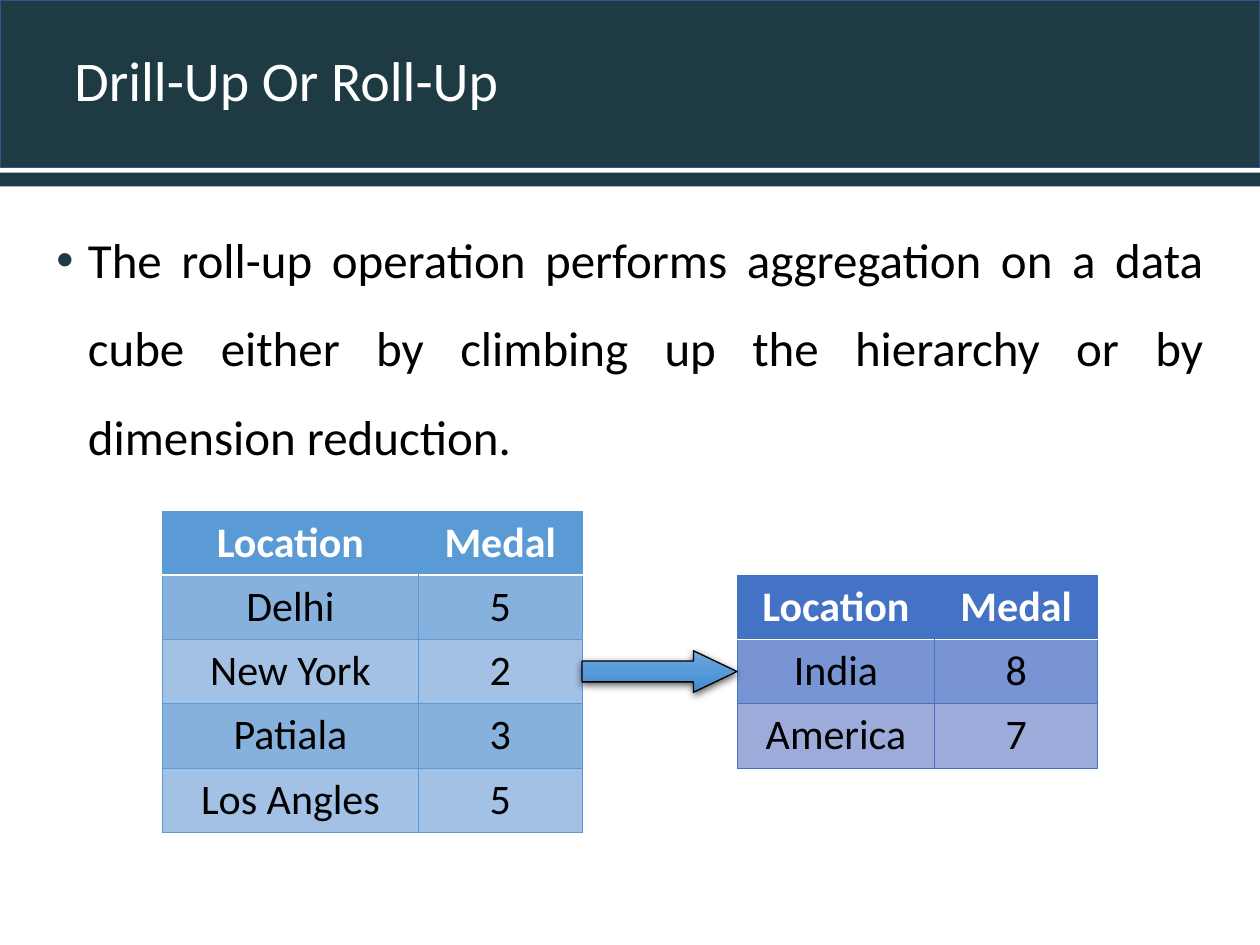
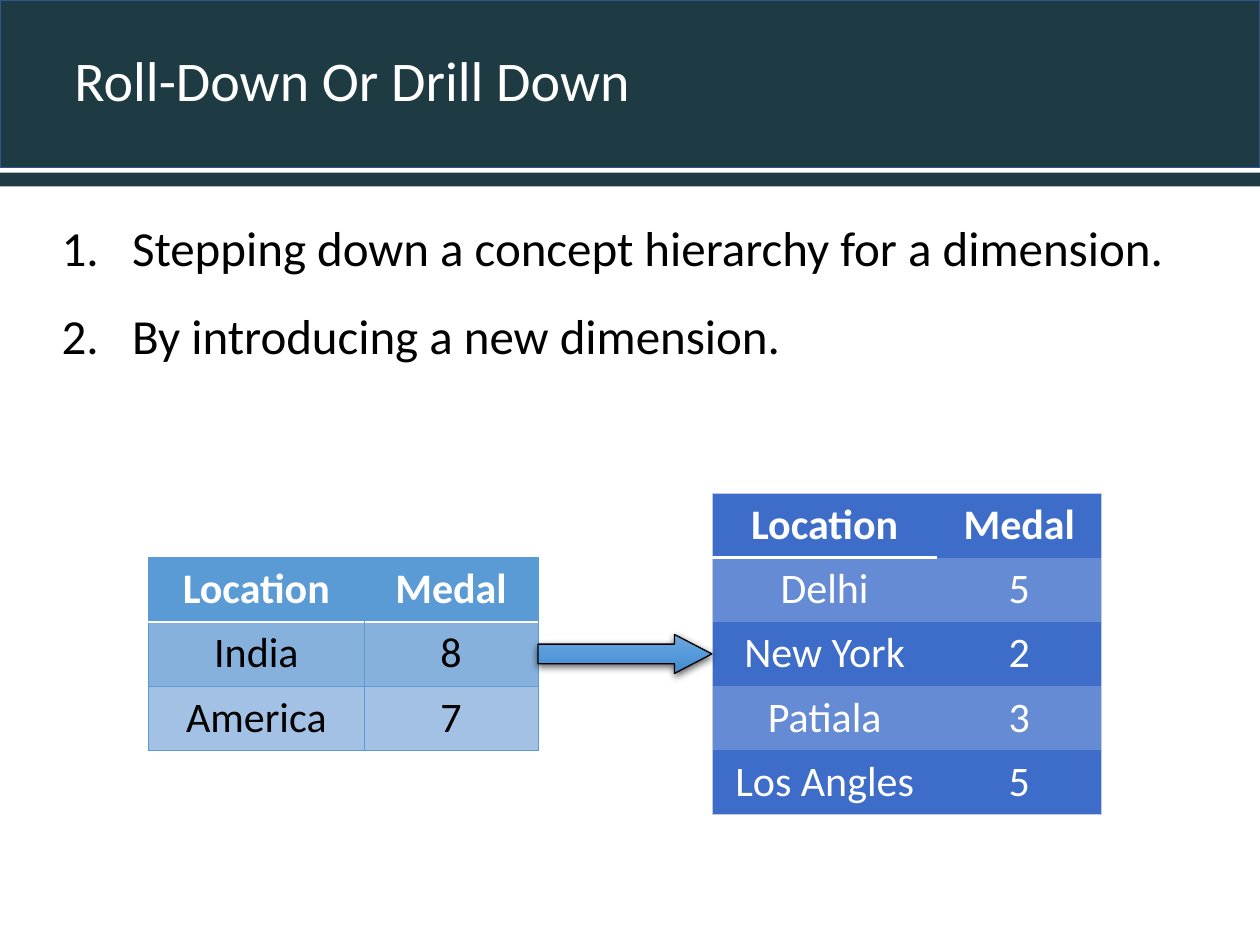
"""Build two slides on rolling data up and drilling it down."""
from copy import deepcopy
from dataclasses import dataclass
from typing import Optional

from lxml import etree
from pptx import Presentation
from pptx import util as u
from pptx.dml.color import RGBColor
from pptx.enum import shapes, text
from pptx.oxml.ns import qn

WIDTH, HEIGHT = u.Inches(10), u.Inches(7.5)
COLUMNS, ROWS = 100, 75
FONT = "Calibri"
ROW_SPAN = 5.1

WHITE = RGBColor(0xFF, 0xFF, 0xFF)
BLACK = RGBColor(0x00, 0x00, 0x00)
TEAL = RGBColor(0x1E, 0x3A, 0x42)
BAND_EDGE = RGBColor(0x32, 0x54, 0x91)
SKY = RGBColor(0x5B, 0x9B, 0xD5)
SKY_MID = RGBColor(0x87, 0xB1, 0xDD)
SKY_PALE = RGBColor(0xA3, 0xC0, 0xE5)
ROYAL = RGBColor(0x44, 0x72, 0xC4)
ROYAL_MID = RGBColor(0x79, 0x94, 0xD2)
ROYAL_PALE = RGBColor(0x9C, 0xAB, 0xDA)
COBALT = RGBColor(0x3D, 0x6D, 0xC9)
COBALT_PALE = RGBColor(0x64, 0x8B, 0xD4)
MIST = RGBColor(0xC1, 0xC9, 0xE4)
ARROW_STOPS = (RGBColor(0x71, 0xA6, 0xDB), RGBColor(0x55, 0x9B, 0xDB), RGBColor(0x44, 0x8A, 0xCA))


@dataclass(frozen=True)
class Box:
    """A place on the slide grid, in columns and rows."""
    left: float
    top: float
    width: float
    height: float

    def emu(self) -> tuple[int, int, int, int]:
        """Return the place as slide lengths."""
        return col(self.left), row(self.top), col(self.width), row(self.height)


@dataclass(frozen=True)
class Edge:
    """A cell border."""
    color: RGBColor
    points: float


@dataclass(frozen=True)
class TableStyle:
    """Colours and borders of a medal table."""
    header: RGBColor
    odd: RGBColor
    even: RGBColor
    ink: RGBColor
    outer: Edge
    inner: Optional[Edge]
    rule: Edge
    ruled_columns: int = 2


@dataclass(frozen=True)
class MedalTable:
    """A medal table whose height follows from its records."""
    left: float
    widths: tuple[float, float]
    records: tuple[tuple[str, str], ...]
    style: TableStyle

    @property
    def right(self) -> float:
        """Return the column where the table ends."""
        return self.left + sum(self.widths)


@dataclass(frozen=True)
class Points:
    """A list of points with its marker and hanging indent."""
    box: Box
    hang: float
    lines: tuple[str, ...]
    numbered: bool


@dataclass(frozen=True)
class Operation:
    """One slide: a cube operation shown as one table becoming another."""
    title: str
    points: Points
    before: MedalTable
    after: MedalTable
    middle: float
    arrow_height: float
    arrow_head: float


BANDS = ((Box(0, 0, 100, 13.3), BAND_EDGE), (Box(0, 13.7, 100, 1.1), None))
TITLE_BOX = Box(1, 0, 99, 13.3)

SKY_STYLE = TableStyle(SKY, SKY_MID, SKY_PALE, BLACK, Edge(SKY, 0.5), Edge(SKY, 0.5), Edge(WHITE, 1))
ROYAL_STYLE = TableStyle(ROYAL, ROYAL_MID, ROYAL_PALE, BLACK,
                         Edge(ROYAL, 0.5), Edge(ROYAL, 0.5), Edge(WHITE, 1))
COBALT_STYLE = TableStyle(COBALT, COBALT_PALE, COBALT, WHITE,
                          Edge(MIST, 0.5), None, Edge(WHITE, 1.5), ruled_columns=1)

HEADINGS = ("Location", "Medal")
CITIES = (HEADINGS, ("Delhi", "5"), ("New York", "2"), ("Patiala", "3"), ("Los Angles", "5"))
COUNTRIES = (HEADINGS, ("India", "8"), ("America", "7"))

OPERATIONS = (
    Operation(
        "Drill-Up Or Roll-Up",
        Points(Box(3.5, 15.4, 93, 22.1), 2.5,
               ("The roll-up operation performs aggregation on a data cube either by "
                "climbing up the hierarchy or by dimension reduction.",), False),
        MedalTable(12.9, (20.3, 13), CITIES, SKY_STYLE),
        MedalTable(58.5, (15.7, 12.9), COUNTRIES, ROYAL_STYLE),
        53.3, 3.3, 1.05),
    Operation(
        "Roll-Down Or Drill Down",
        Points(Box(3.9, 14.4, 91.7, 21.3), 5.6,
               ("Stepping down a concept hierarchy for a dimension.",
                "By introducing a new dimension."), True),
        MedalTable(11.8, (17.1, 13.8), COUNTRIES, SKY_STYLE),
        MedalTable(56.5, (17.9, 13), CITIES, COBALT_STYLE),
        51.9, 3.1, 0.96),
)


def col(n: float) -> int:
    """Return the length of n grid columns."""
    return round(WIDTH * n / COLUMNS)


def row(n: float) -> int:
    """Return the length of n grid rows."""
    return round(HEIGHT * n / ROWS)


def child(parent, tag: str, **attributes):
    """Append a drawing element and return it."""
    return etree.SubElement(parent, qn(f"a:{tag}"), {k: str(v) for k, v in attributes.items()})


def add_run(p, words: str, size: float, color: RGBColor, bold: bool = False) -> None:
    """Add one formatted run to a paragraph."""
    r = p.add_run()
    r.text = words
    r.font.name, r.font.size, r.font.bold = FONT, u.Pt(size), bold
    r.font.color.rgb = color


def add_bands(s) -> None:
    """Draw the header bands behind the title."""
    for depth, (box, edge) in enumerate(BANDS):
        sp = s.shapes.add_shape(shapes.MSO_SHAPE.RECTANGLE, *box.emu())
        sp.shadow.inherit = False
        sp.fill.solid()
        sp.fill.fore_color.rgb = TEAL
        if edge is None:
            sp.line.fill.background()
        else:
            sp.line.color.rgb = edge
            sp.line.width = u.Pt(1)
        s.shapes.element.insert(2 + depth, sp.element)


def set_title(s, words: str) -> None:
    """Place and format the title placeholder."""
    sp = s.shapes.title
    sp.left, sp.top, sp.width, sp.height = TITLE_BOX.emu()
    tf = sp.text_frame
    tf.vertical_anchor = text.MSO_ANCHOR.MIDDLE
    p = tf.paragraphs[0]
    p.alignment = text.PP_ALIGN.LEFT
    p.line_spacing = 0.9
    p._p.get_or_add_pPr().set("indent", str(col(3.9)))
    add_run(p, words, 32, WHITE)


def add_points(s, points: Points) -> None:
    """Add the justified list of points."""
    tf = s.shapes.add_textbox(*points.box.emu()).text_frame
    tf.word_wrap = True
    for i, line in enumerate(points.lines):
        p = tf.add_paragraph() if i else tf.paragraphs[0]
        p.alignment = text.PP_ALIGN.JUSTIFY
        p.line_spacing = 1.5
        pPr = p._p.get_or_add_pPr()
        pPr.set("marL", str(col(points.hang)))
        pPr.set("indent", str(-col(points.hang)))
        if points.numbered:
            child(pPr, "buFont", typeface="+mj-lt")
            child(pPr, "buAutoNum", type="arabicPeriod")
        else:
            child(child(pPr, "buClr"), "srgbClr", val=TEAL)
            child(pPr, "buFont", typeface="Arial")
            child(pPr, "buChar", char="•")
        add_run(p, line, 28, BLACK)


def set_border(cell, side: str, edge: Optional[Edge]) -> None:
    """Draw or clear one border of a cell."""
    ln = child(cell._tc.get_or_add_tcPr(), side, w=u.Pt(edge.points) if edge else 0)
    if edge:
        child(child(ln, "solidFill"), "srgbClr", val=edge.color)
    else:
        child(ln, "noFill")


def add_medal_table(s, medals: MedalTable, middle: float) -> None:
    """Add a medal table centred on the row called middle."""
    style, n, m = medals.style, len(medals.records), len(medals.widths)
    height = n * ROW_SPAN
    box = Box(medals.left, middle - height / 2, sum(medals.widths), height)
    table = s.shapes.add_table(n, m, *box.emu()).table
    for column, width in zip(table.columns, medals.widths):
        column.width = col(width)

    def level(i: int, j: int) -> Optional[Edge]:
        """Return the border above row i in column j."""
        if i in (0, n):
            return style.outer
        if i == 1:
            return style.rule if j < style.ruled_columns else None
        return style.inner

    def upright(i: int, j: int) -> Optional[Edge]:
        """Return the border left of column j in row i."""
        if j in (0, m):
            return style.outer
        return style.inner if i else None

    for i, record in enumerate(medals.records):
        for j, words in enumerate(record):
            cell = table.cell(i, j)
            set_border(cell, "lnL", upright(i, j))
            set_border(cell, "lnR", upright(i, j + 1))
            set_border(cell, "lnT", level(i, j))
            set_border(cell, "lnB", level(i + 1, j))
            cell.fill.solid()
            body = style.odd if i % 2 else style.even
            cell.fill.fore_color.rgb = body if i else style.header
            p = cell.text_frame.paragraphs[0]
            p.alignment = text.PP_ALIGN.CENTER
            add_run(p, words, 24, style.ink if i else WHITE, bold=i == 0)


def add_arrow(s, op: Operation) -> None:
    """Add the shaded arrow that spans the gap between the tables."""
    box = Box(op.before.right, op.middle - op.arrow_height / 2,
              op.after.left - op.before.right, op.arrow_height)
    sp = s.shapes.add_shape(shapes.MSO_SHAPE.RIGHT_ARROW, *box.emu())
    sp.adjustments[1] = op.arrow_head
    sp.fill.gradient()
    sp.fill.gradient_angle = 270
    stops = sp.element.spPr.find(f".//{qn('a:gsLst')}")
    stops.insert(1, deepcopy(stops[0]))
    for i, (stop, color) in enumerate(zip(sp.fill.gradient_stops, ARROW_STOPS)):
        stop.position = i / 2
        stop.color.rgb = color
    sp.line.color.rgb = BLACK
    sp.line.width = u.Pt(0.75)
    shadow = child(child(sp.element.spPr, "effectLst"), "outerShdw", blurRad=u.Pt(4.5),
                   dist=u.Pt(1.5), dir=5400000, algn="ctr", rotWithShape=0)
    child(child(shadow, "srgbClr", val=BLACK), "alpha", val=63000)


def main() -> None:
    """Build and save the presentation."""
    prs = Presentation()
    prs.slide_width, prs.slide_height = WIDTH, HEIGHT
    for op in OPERATIONS:
        s = prs.slides.add_slide(prs.slide_layouts[5])
        add_bands(s)
        set_title(s, op.title)
        add_points(s, op.points)
        for medals in (op.before, op.after):
            add_medal_table(s, medals, op.middle)
        add_arrow(s, op)
    prs.save("out.pptx")


if __name__ == "__main__":
    main()
